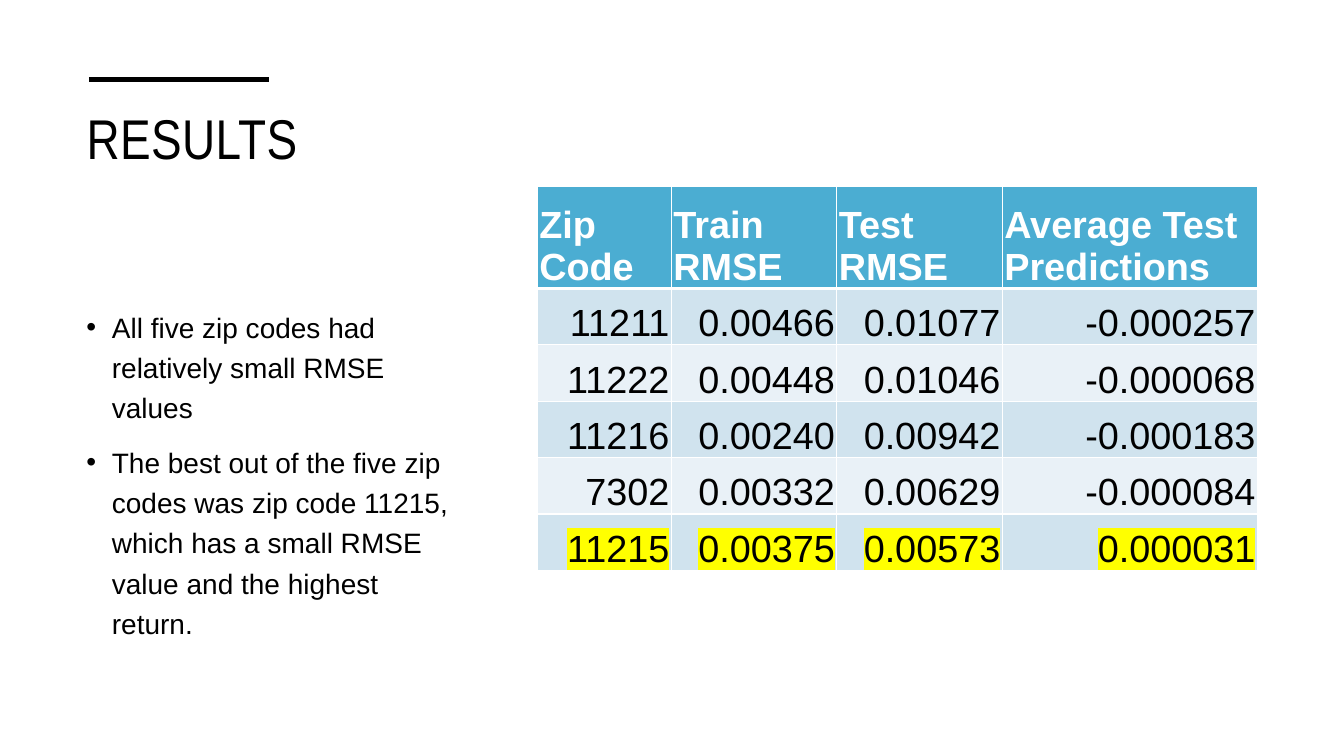
"""Build the results slide: a title, two findings and a table of errors by zip code."""
import dataclasses

import lxml.etree
import pptx
import pptx.dml.color
import pptx.enum.shapes
import pptx.enum.text
import pptx.oxml
import pptx.oxml.ns
import pptx.util

Cm = pptx.util.Cm
Pt = pptx.util.Pt
Align = pptx.enum.text.PP_ALIGN
Anchor = pptx.enum.text.MSO_ANCHOR


@dataclasses.dataclass(frozen=True)
class Theme:
    ink: str = "000000"
    paper: str = "FFFFFF"
    header: str = "4BADD2"
    bands: tuple = ("D0E3EE", "E9F1F7")
    highlight: str = "FFFF00"
    title_font: str = "Arial Narrow"
    font: str = "Arial"
    title_size: int = 40
    body_size: int = 20
    table_size: int = 27


theme = Theme()


def write(paragraph, text, size, font=theme.font, color=theme.ink, bold=False,
          align=Align.LEFT, highlight=None):
    """Add one formatted run to a paragraph and return the run."""
    paragraph.alignment = align
    run = paragraph.add_run()
    run.text = text
    run.font.size = Pt(size)
    run.font.bold = bold
    run.font.color.rgb = pptx.dml.color.RGBColor.from_string(color)
    if highlight:
        marker = lxml.etree.SubElement(run.font._element, pptx.oxml.ns.qn("a:highlight"))
        lxml.etree.SubElement(marker, pptx.oxml.ns.qn("a:srgbClr"), val=highlight)
    run.font.name = font
    return run


def set_border(cell, position, side, width):
    """Draw one border of a cell in the paper colour."""
    line = pptx.oxml.parse_xml(
        f'<a:ln{side} {pptx.oxml.ns.nsdecls("a")} w="{Pt(width)}"><a:solidFill>'
        f'<a:srgbClr val="{theme.paper}"/></a:solidFill></a:ln{side}>')
    cell._tc.get_or_add_tcPr().insert(position, line)


presentation = pptx.Presentation()
presentation.slide_width = Cm(33.87)
presentation.slide_height = Cm(19.05)
slide = presentation.slides.add_slide(presentation.slide_layouts[5])

title = slide.shapes.title
title.left, title.top, title.width, title.height = Cm(1.93), Cm(2.49), Cm(10.11), Cm(4.37)
title.text_frame.vertical_anchor = Anchor.TOP
title.text_frame.word_wrap = True
title_run = write(title.text_frame.paragraphs[0], "RESULTS", theme.title_size, theme.title_font)
title_run.font._element.set("spc", "30")

accent = slide.shapes.add_connector(
    pptx.enum.shapes.MSO_CONNECTOR.STRAIGHT, Cm(2.24), Cm(2.01), Cm(6.78), Cm(2.01))
accent.line.color.rgb = pptx.dml.color.RGBColor.from_string(theme.ink)
accent.line.width = Pt(3.5)
lxml.etree.SubElement(accent._element.spPr, pptx.oxml.ns.qn("a:effectLst"))

findings = [
    "All five zip codes had relatively small RMSE values",
    "The best out of the five zip codes was zip code 11215, "
    "which has a small RMSE value and the highest return.",
]
findings_frame = slide.shapes.add_textbox(Cm(1.93), Cm(7.52), Cm(9.96), Cm(9.73)).text_frame
findings_frame.word_wrap = True
for index, finding in enumerate(findings):
    paragraph = findings_frame.add_paragraph() if index else findings_frame.paragraphs[0]
    paragraph.line_spacing = 1.2
    paragraph.space_before = Pt(10)
    write(paragraph, finding, theme.body_size)
    properties = paragraph._p.get_or_add_pPr()
    properties.set("marL", str(Cm(0.64)))
    properties.set("indent", str(-Cm(0.64)))
    lxml.etree.SubElement(properties, pptx.oxml.ns.qn("a:buFont"), typeface=theme.font)
    lxml.etree.SubElement(properties, pptx.oxml.ns.qn("a:buChar"), char="•")

results = [
    ("Zip Code", "Train RMSE", "Test RMSE", "Average Test Predictions"),
    ("11211", "0.00466", "0.01077", "-0.000257"),
    ("11222", "0.00448", "0.01046", "-0.000068"),
    ("11216", "0.00240", "0.00942", "-0.000183"),
    ("7302", "0.00332", "0.00629", "-0.000084"),
    ("11215", "0.00375", "0.00573", "0.000031"),
]
best_zip_code = "11215"
column_widths = [3.38, 4.17, 4.17, 6.43]
row_heights = [2.57] + [1.42] * (len(results) - 1)
table = slide.shapes.add_table(
    len(results), len(column_widths), Cm(13.54), Cm(4.7),
    Cm(sum(column_widths)), Cm(sum(row_heights))).table
for column, width in zip(table.columns, column_widths):
    column.width = Cm(width)
for row_index, values in enumerate(results):
    table.rows[row_index].height = Cm(row_heights[row_index])
    is_header = row_index == 0
    fill = theme.header if is_header else theme.bands[(row_index - 1) % 2]
    border_widths = {"L": 1, "R": 1, "T": 3 if row_index == 1 else 1, "B": 3 if is_header else 1}
    for column_index, value in enumerate(values):
        cell = table.cell(row_index, column_index)
        cell.margin_left = cell.margin_right = cell.margin_top = Cm(0.05)
        cell.margin_bottom = 0
        cell.vertical_anchor = Anchor.BOTTOM
        cell.fill.solid()
        cell.fill.fore_color.rgb = pptx.dml.color.RGBColor.from_string(fill)
        for position, (side, width) in enumerate(border_widths.items()):
            set_border(cell, position, side, width)
        write(cell.text_frame.paragraphs[0], value, theme.table_size,
              color=theme.paper if is_header else theme.ink, bold=is_header,
              align=Align.LEFT if is_header else Align.RIGHT,
              highlight=theme.highlight if values[0] == best_zip_code else None)

presentation.save("out.pptx")
